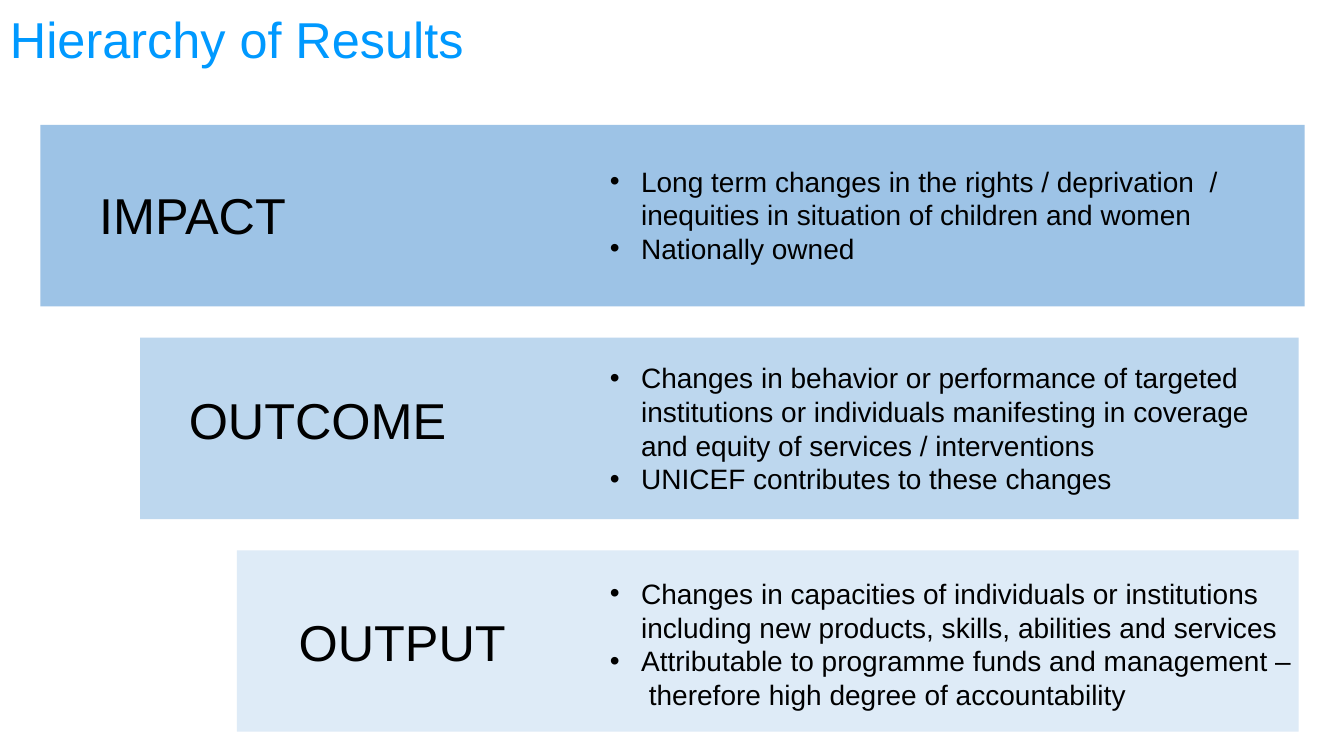
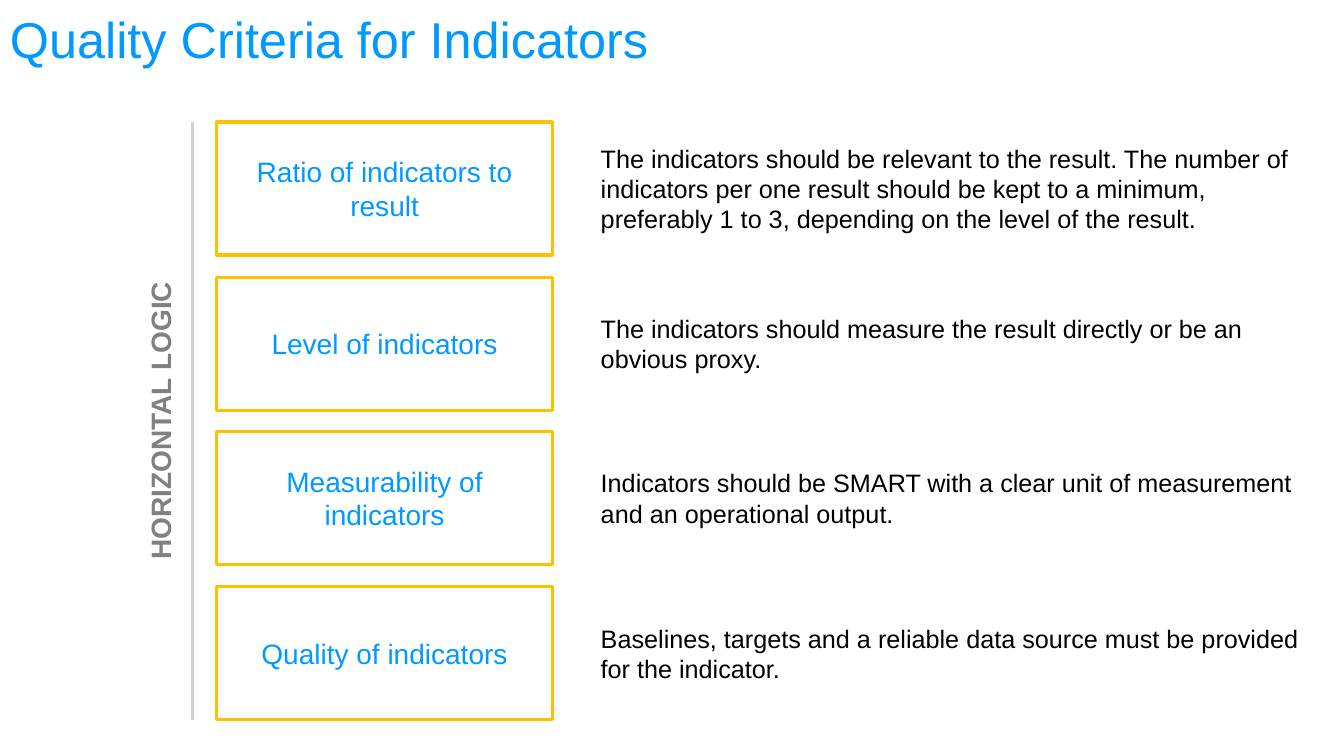
from dataclasses import dataclass

from lxml import etree
from pptx import Presentation
from pptx.dml.color import RGBColor
from pptx.enum.shapes import MSO_CONNECTOR, MSO_SHAPE
from pptx.enum.text import MSO_ANCHOR, PP_ALIGN
from pptx.oxml.ns import qn
from pptx.util import Emu, Pt

RECTANGLE = MSO_SHAPE.RECTANGLE
STRAIGHT = MSO_CONNECTOR.STRAIGHT
TOP, MIDDLE = MSO_ANCHOR.TOP, MSO_ANCHOR.MIDDLE
LEFT, CENTER = PP_ALIGN.LEFT, PP_ALIGN.CENTER

PX = 9144  # 100 px to the inch
PAGE_WIDTH, PAGE_HEIGHT = 1333, 750


def px(length):
    return Emu(length * PX)


@dataclass(frozen=True)
class Theme:
    font: str = "Arial"
    title: str = "0099FF"
    body: str = "000000"
    muted: str = "808080"
    rule: str = "D1D1D1"
    frame: str = "FFC000"
    bands: tuple = ("9DC3E6", "BDD7EE", "DEEBF7")
    title_size: int = 36
    label_size: int = 20
    text_size: int = 18
    line_width: float = 2.25
    bullet_indent: int = 31


class Page:
    """Holds the style and the slide being built."""

    def __init__(self, deck, theme):
        self.deck, self.theme = deck, theme
        self.slide = None

    def start(self, title):
        self.slide = self.deck.slides.add_slide(self.deck.slide_layouts[6])
        box = self.text(0, 0, PAGE_WIDTH, 84, [title], self.theme.title_size,
                        self.theme.title, anchor=MIDDLE)
        box.text_frame.paragraphs[0].line_spacing = 0.9

    def fill_text(self, shape, lines, size, color, align=LEFT, anchor=TOP,
                  bold=False, bullets=False):
        frame = shape.text_frame
        frame.word_wrap = True
        frame.vertical_anchor = anchor
        for index, line in enumerate(lines):
            para = frame.add_paragraph() if index else frame.paragraphs[0]
            para.alignment = align
            if bullets:
                self.bullet(para)
            span = para.add_run()
            span.text = line
            span.font.name = self.theme.font
            span.font.size = Pt(size)
            span.font.bold = bold
            span.font.color.rgb = RGBColor.from_string(color)

    def bullet(self, para):
        properties = para._p.get_or_add_pPr()
        indent = px(self.theme.bullet_indent)
        properties.set("marL", str(indent))
        properties.set("indent", str(-indent))
        etree.SubElement(properties, qn("a:buFont")).set("typeface", self.theme.font)
        etree.SubElement(properties, qn("a:buChar")).set("char", "•")

    def text(self, left, top, width, height, lines, size, color, **style):
        box = self.slide.shapes.add_textbox(px(left), px(top), px(width), px(height))
        self.fill_text(box, lines, size, color, **style)
        return box

    def vertical_text(self, *args, **style):
        box = self.text(*args, **style)
        box.text_frame._txBody.bodyPr.set("vert", "vert270")

    def rectangle(self, left, top, width, height, fill=None, line=None):
        shape = self.slide.shapes.add_shape(
            RECTANGLE, px(left), px(top), px(width), px(height))
        shape.shadow.inherit = False
        if fill:
            shape.fill.solid()
            shape.fill.fore_color.rgb = RGBColor.from_string(fill)
        else:
            shape.fill.background()
        if line:
            shape.line.color.rgb = RGBColor.from_string(line)
            shape.line.width = Pt(self.theme.line_width)
        else:
            shape.line.fill.background()
        return shape

    def vertical_rule(self, left, top, height):
        rule = self.slide.shapes.add_connector(
            STRAIGHT, px(left), px(top), px(left), px(top + height))
        rule.line.color.rgb = RGBColor.from_string(self.theme.rule)
        rule.line.width = Pt(self.theme.line_width)
        etree.SubElement(rule._element.spPr, qn("a:effectLst"))


# Band left and width, label left, top and width, bullets top, then the wording
RESULTS = [
    (40, 1254, 82, 178, 218, 158, "IMPACT",
     ["Long term changes in the rights / deprivation  / inequities in situation "
      "of children and women",
      "Nationally owned"]),
    (139, 1149, 167, 381, 296, 353, "OUTCOME",
     ["Changes in behavior or performance of targeted institutions or individuals "
      "manifesting in coverage and equity of services / interventions",
      "UNICEF contributes to these changes"]),
    (235, 1053, 251, 601, 296, 567, "OUTPUT",
     ["Changes in capacities of individuals or institutions including new products, "
      "skills, abilities and services",
      "Attributable to programme funds and management –  therefore high degree "
      "of accountability"]),
]

CRITERIA = [
    ("Ratio of indicators to result",
     "The indicators should be relevant to the result. The number of indicators per "
     "one result should be kept to a minimum, preferably 1 to 3, depending on the "
     "level of the result."),
    ("Level of indicators",
     "The indicators should measure the result directly or be an obvious proxy."),
    ("Measurability of indicators",
     "Indicators should be SMART with a clear unit of measurement and an operational "
     "output."),
    ("Quality of indicators",
     "Baselines, targets and a reliable data source must be provided for the "
     "indicator."),
]


def build_hierarchy(page):
    theme = page.theme
    first_top, band_height, pitch = 124, 180, 211
    page.start("Hierarchy of Results")
    for index, (left, width, label_left, label_top, label_width, bullets_top,
                label, points) in enumerate(RESULTS):
        page.rectangle(left, first_top + index * pitch, width, band_height,
                       fill=theme.bands[index])
        page.text(595, bullets_top, 698, 145, points, theme.label_size, theme.body,
                  bullets=True)
        page.text(label_left, label_top, label_width, 71, [label],
                  theme.title_size, theme.body, align=CENTER)


def build_criteria(page):
    theme = page.theme
    top, total_height, row_height = 121, 593, 132
    pitch = (total_height - row_height) / (len(CRITERIA) - 1)
    page.start("Quality Criteria for Indicators")
    # Framed criterion on the left, its explanation on the right
    for index, (criterion, explanation) in enumerate(CRITERIA):
        row_top = top + round(index * pitch)
        frame = page.rectangle(215, row_top, 333, row_height, line=theme.frame)
        page.fill_text(frame, [criterion], theme.label_size, theme.title,
                       align=CENTER, anchor=MIDDLE)
        page.text(586, row_top, 719, row_height, [explanation],
                  theme.text_size, theme.body, anchor=MIDDLE)
    # Side label and its rule
    page.vertical_text(112, top, 93, total_height, ["HORIZONTAL LOGIC"],
                       theme.label_size, theme.muted, align=CENTER,
                       anchor=MIDDLE, bold=True)
    page.vertical_rule(191, top, total_height)


def main():
    deck = Presentation()
    deck.slide_width, deck.slide_height = px(PAGE_WIDTH), px(PAGE_HEIGHT)
    page = Page(deck, Theme())
    build_hierarchy(page)
    build_criteria(page)
    deck.save("out.pptx")


if __name__ == "__main__":
    main()
